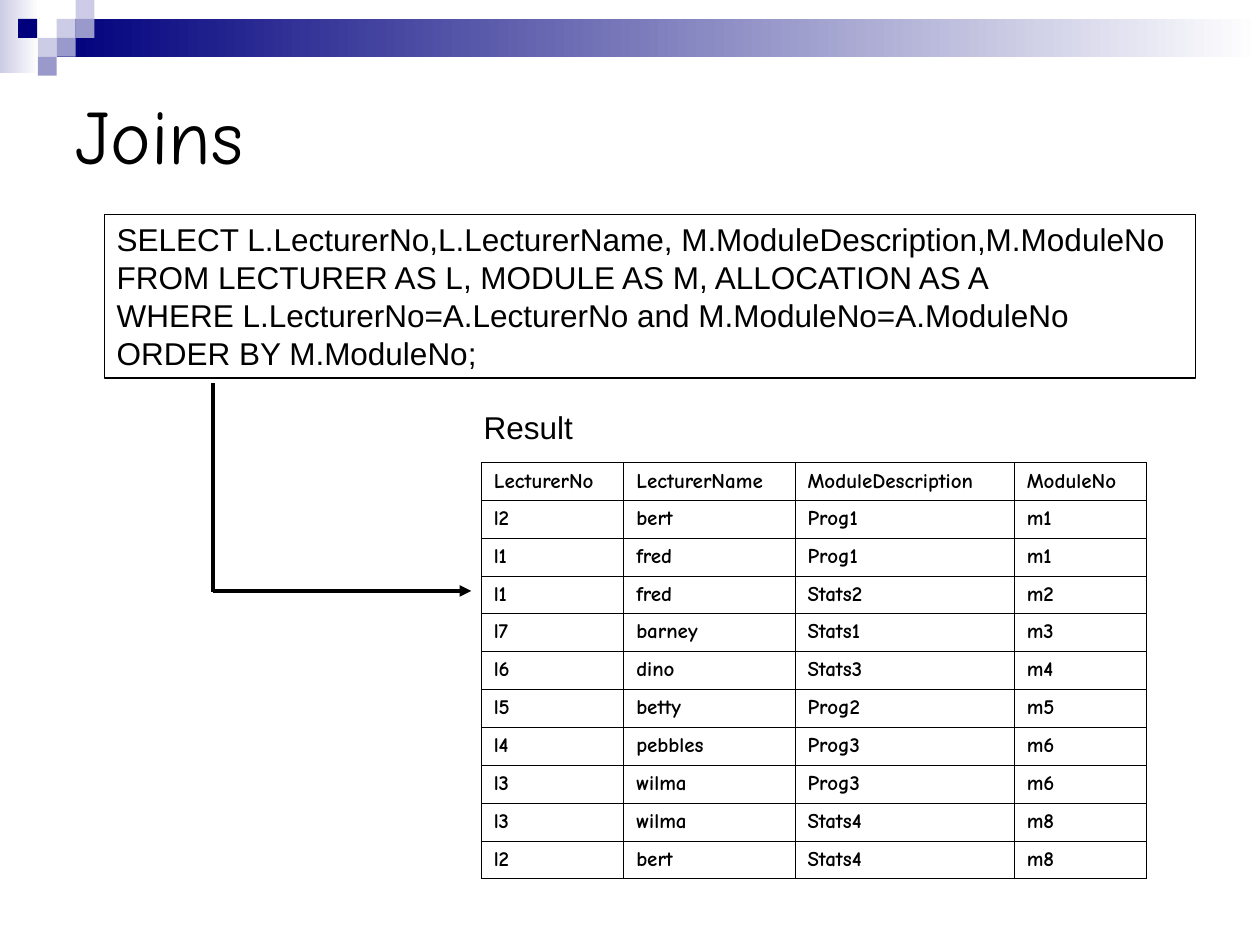
import pptx
import pptx.util
import pptx.dml.color
import pptx.enum.shapes
import pptx.enum.text
import pptx.oxml
import lxml.etree

Pt = pptx.util.Pt
RECT = pptx.enum.shapes.MSO_SHAPE.RECTANGLE
ANCHOR = pptx.enum.text.MSO_ANCHOR
STRAIGHT = pptx.enum.shapes.MSO_CONNECTOR.STRAIGHT
NS = pptx.oxml.ns.nsdecls("a")


def rgb(value):
    return pptx.dml.color.RGBColor.from_string(value)


def write(tf, lines, size, font, bold=False):
    tf.text = "\n".join(lines)
    for p in tf.paragraphs:
        p.alignment = pptx.enum.text.PP_ALIGN.LEFT
        p.font.size = Pt(size)
        p.font.name = font
        p.font.bold = bold
        p.font.color.rgb = rgb("000000")


prs = pptx.Presentation()
prs.slide_width, prs.slide_height = Pt(720), Pt(540)
s = prs.slides.add_slide(prs.slide_layouts[6])

for x, y, w, h, color in [(0, 0, 22.3, 41.8, "CCCCE6"), (32.4, 10.8, 687.6, 21.6, "00007D")]:
    sp = s.shapes.add_shape(RECT, Pt(x), Pt(y), Pt(w), Pt(h))
    sp.shadow.inherit = False
    sp.line.fill.background()
    sp.fill.gradient()
    sp.fill.gradient_angle = 0
    for stop, value in zip(sp.fill.gradient_stops, (color, "FFFFFF")):
        stop.color.rgb = rgb(value)

squares = [
    (32.4, 10.8, "CCCCE6"), (43.2, 0, "CCCCE6"), (43.2, 10.8, "9999CC"),
    (21.6, 21.6, "CCCCE6"), (10.4, 10.8, "00007D"),
    (32.4, 21.6, "9999CC"), (21.6, 32.4, "9999CC"),
]
for x, y, color in squares:
    sp = s.shapes.add_shape(RECT, Pt(x), Pt(y), Pt(10.8), Pt(10.8))
    sp.shadow.inherit = False
    sp.line.fill.background()
    sp.fill.solid()
    sp.fill.fore_color.rgb = rgb(color)

tf = s.shapes.add_textbox(Pt(36), Pt(36), Pt(648), Pt(81)).text_frame
tf.word_wrap = True
tf.vertical_anchor = ANCHOR.MIDDLE
write(tf, ["Joins"], 44, "Comic Neue")

sp = s.shapes.add_shape(RECT, Pt(59.6), Pt(122.4), Pt(623.6), Pt(93.6))
sp.shadow.inherit = False
sp.fill.background()
sp.line.color.rgb = rgb("000000")
sp.line.width = Pt(0.75)
tf = sp.text_frame
tf.word_wrap = True
tf.vertical_anchor = ANCHOR.TOP
query = [
    "SELECT L.LecturerNo,L.LecturerName, M.ModuleDescription,M.ModuleNo",
    "FROM LECTURER AS L, MODULE AS M, ALLOCATION AS A",
    "WHERE L.LecturerNo=A.LecturerNo and M.ModuleNo=A.ModuleNo",
    "ORDER BY M.ModuleNo;",
]
write(tf, query, 18, "Arial")
for p in tf.paragraphs:
    p.line_spacing = Pt(21.6)

tf = s.shapes.add_textbox(Pt(269.3), Pt(229.7), Pt(152.6), Pt(28.8)).text_frame
tf.word_wrap = True
write(tf, ["Result"], 18, "Arial")

for x1, y1, x2, y2, arrow in [(121.7, 337.7, 269.3, 337.7, True), (121.7, 218.9, 121.7, 338.4, False)]:
    line = s.shapes.add_connector(STRAIGHT, Pt(x1), Pt(y1), Pt(x2), Pt(y2))
    line.line.color.rgb = rgb("000000")
    line.line.width = Pt(2.25)
    if arrow:
        line.line._get_or_add_ln().append(pptx.oxml.parse_xml(f'<a:tailEnd {NS} type="triangle"/>'))
    line._element.spPr.append(pptx.oxml.parse_xml(f"<a:effectLst {NS}/>"))

rows = [
    ("LecturerNo", "LecturerName", "ModuleDescription", "ModuleNo"),
    ("l2", "bert", "Prog1", "m1"),
    ("l1", "fred", "Prog1", "m1"),
    ("l1", "fred", "Stats2", "m2"),
    ("l7", "barney", "Stats1", "m3"),
    ("l6", "dino", "Stats3", "m4"),
    ("l5", "betty", "Prog2", "m5"),
    ("l4", "pebbles", "Prog3", "m6"),
    ("l3", "wilma", "Prog3", "m6"),
    ("l3", "wilma", "Stats4", "m8"),
    ("l2", "bert", "Stats4", "m8"),
]
widths = [81.4, 97.9, 125.3, 75.6]
table = s.shapes.add_table(len(rows), len(widths), Pt(275), Pt(264.2), Pt(sum(widths)), Pt(237.6)).table
table.first_row = False
table.horz_banding = False
for column, width in zip(table.columns, widths):
    column.width = Pt(width)
for i, row in enumerate(rows):
    table.rows[i].height = Pt(21.6)
    for j, text in enumerate(row):
        cell = table.cell(i, j)
        cell.fill.background()
        cell.vertical_anchor = ANCHOR.TOP if i else ANCHOR.MIDDLE
        write(cell.text_frame, [text], 12, "Comic Neue", True)
        for k, side in enumerate("LRTB"):
            border = pptx.oxml.parse_xml(
                f'<a:ln{side} {NS} w="{Pt(0.34)}"><a:solidFill>'
                f'<a:srgbClr val="000000"/></a:solidFill></a:ln{side}>')
            cell._tc.get_or_add_tcPr().insert(k, border)

prs.save("out.pptx")
